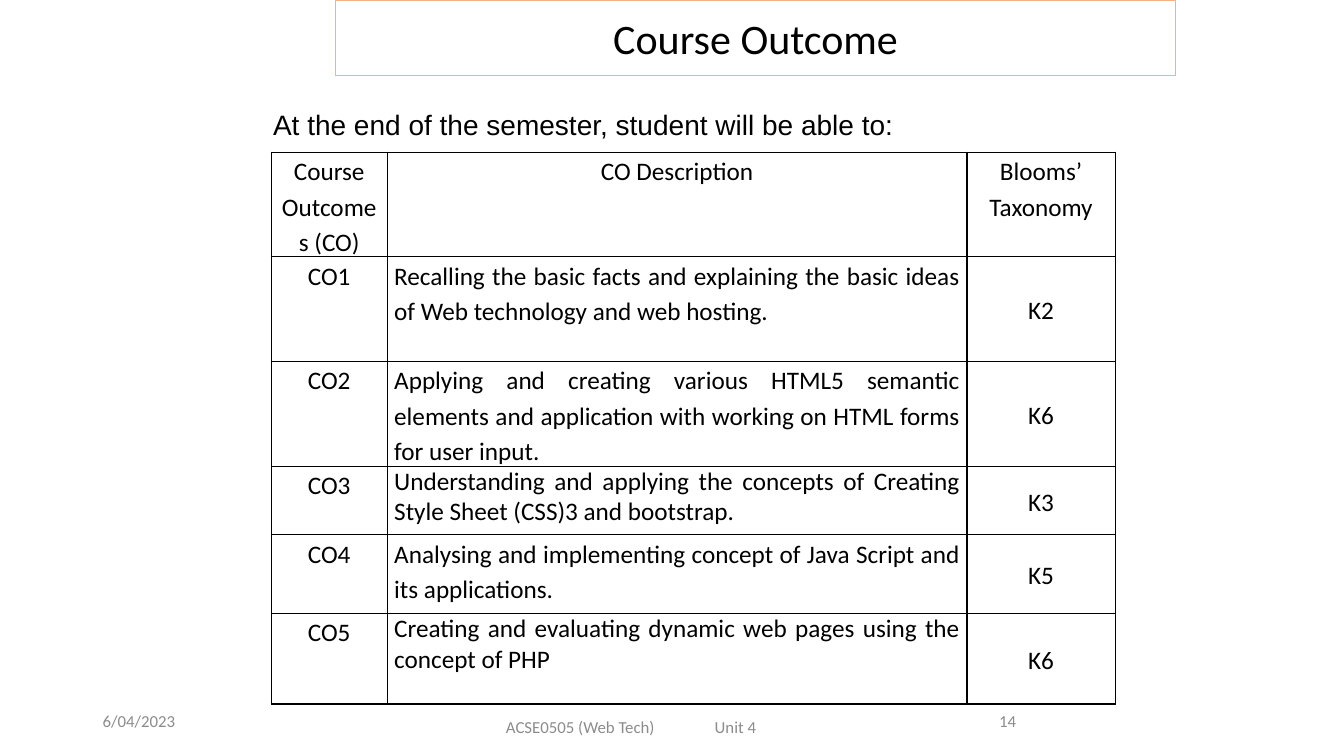
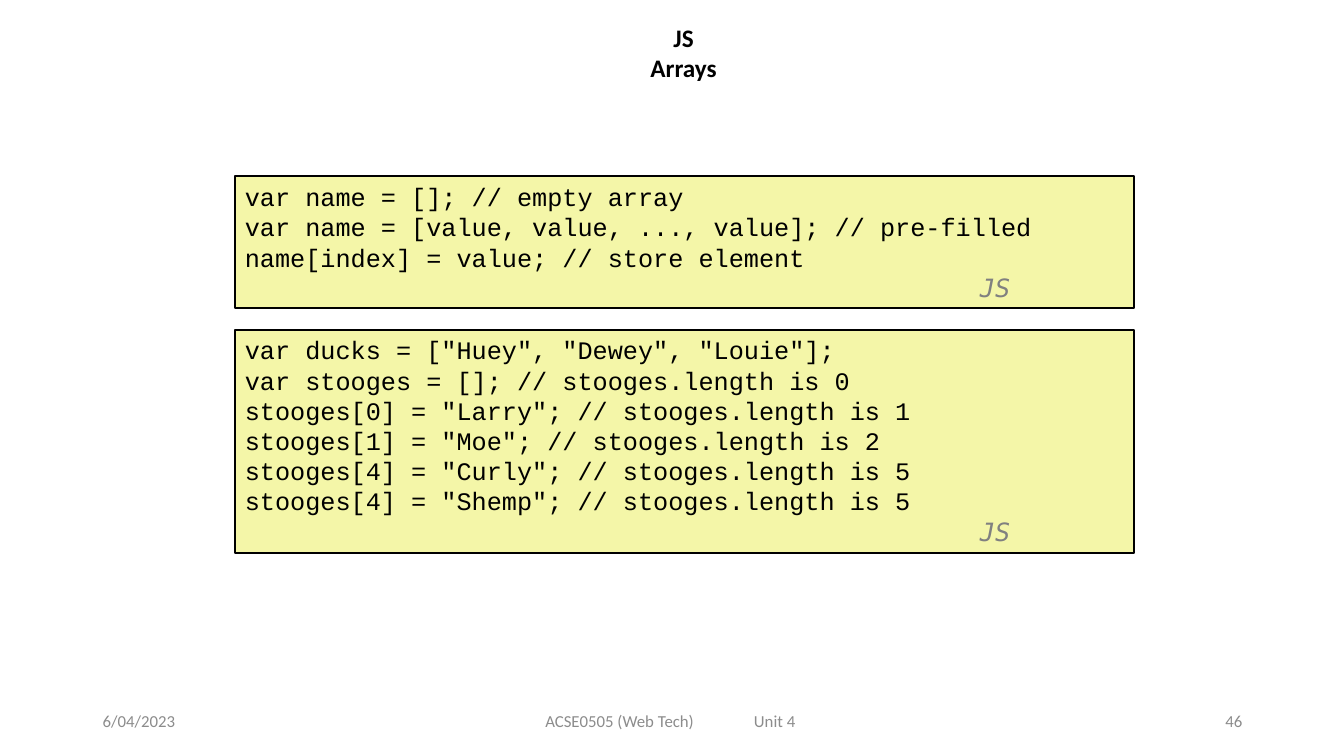
from lxml import etree
from pptx import Presentation
from pptx.dml.color import RGBColor
from pptx.enum.shapes import MSO_SHAPE
from pptx.enum.text import MSO_ANCHOR, PP_ALIGN
from pptx.oxml.ns import qn
from pptx.util import Pt

PX = 9144  # 100 px to the inch
RECT = MSO_SHAPE.RECTANGLE
TOP, MIDDLE = MSO_ANCHOR.TOP, MSO_ANCHOR.MIDDLE
LEFT, CENTER, RIGHT, JUSTIFY = PP_ALIGN.LEFT, PP_ALIGN.CENTER, PP_ALIGN.RIGHT, PP_ALIGN.JUSTIFY
BLACK, GREY, FOOTER_GREY = "000000", "808080", "8C8C8C"
TITLE_LINE, CODE_FILL = "F4B183", "F4F6A8"
BODY, CODE, TAG = "Calibri", "Courier New", "DejaVu Sans Mono"


def add_run(p, text, size, font=BODY, color=BLACK):
    r = p.add_run()
    r.text = text
    r.font.size = Pt(size)
    r.font.name = font
    r.font.color.rgb = RGBColor.from_string(color)
    return r


def add_box(s, at, lines, size, font=BODY, color=BLACK, align=LEFT, anchor=TOP,
            fill=None, line=None, weight=1):
    x, y, w, h = [v * PX for v in at]
    if line:
        sp = s.shapes.add_shape(RECT, x, y, w, h)
        sp.shadow.inherit = False
        sp.line.color.rgb = RGBColor.from_string(line)
        sp.line.width = Pt(weight)
        if fill:
            sp.fill.solid()
            sp.fill.fore_color.rgb = RGBColor.from_string(fill)
        else:
            sp.fill.background()
    else:
        sp = s.shapes.add_textbox(x, y, w, h)
    tf = sp.text_frame
    tf.word_wrap = True
    tf.vertical_anchor = anchor
    for i, text in enumerate(lines):
        p = tf.add_paragraph() if i else tf.paragraphs[0]
        p.alignment = align
        add_run(p, text, size, font, color)
    return tf


prs = Presentation()
prs.slide_width, prs.slide_height = 1333 * PX, 750 * PX
blank = prs.slide_layouts[6]

# Slides with their footers: date, course and unit, slide number
footers = [
    ((492, 701, 758, 40), "14", (883, 695, 233, 40), CENTER),
    ((531, 695, 450, 40), "46", (942, 695, 300, 40), RIGHT),
]
for course_at, number, number_at, align in footers:
    s = prs.slides.add_slide(blank)
    add_box(s, (92, 695, 300, 40), ["6/04/2023"], 12, color=FOOTER_GREY, anchor=MIDDLE)
    add_box(s, number_at, [number], 12, color=FOOTER_GREY, align=align, anchor=MIDDLE)
    tf = add_box(s, course_at, ["ACSE0505 (Web Tech)\tUnit 4"], 12,
                 color=FOOTER_GREY, anchor=MIDDLE)
    tabs = etree.SubElement(tf.paragraphs[0]._p.get_or_add_pPr(), qn("a:tabLst"))
    etree.SubElement(tabs, qn("a:tab"), pos=str(207 * PX), algn="l")
outcome_slide, arrays_slide = prs.slides

# Course outcome: title and introduction
add_box(outcome_slide, (333, 0, 833, 75), ["Course Outcome"], 30, align=CENTER,
        anchor=MIDDLE, line=TITLE_LINE, weight=0.5)
add_box(outcome_slide, (261, 102, 950, 44),
        ["At the end of the semester, student will be able to:"], 20, "Arial")

# Course outcome: table
rows = [
    ("Course Outcomes (CO)", "CO Description", "Blooms’ Taxonomy"),
    ("CO1", "Recalling the basic facts and explaining the basic ideas of Web "
     "technology and web hosting.", "K2"),
    ("CO2", "Applying and creating various HTML5 semantic elements and application "
     "with working on HTML forms for user input.", "K6"),
    ("CO3", "Understanding and applying the concepts of Creating Style Sheet (CSS)3 "
     "and bootstrap.", "K3"),
    ("CO4", "Analysing and implementing concept of Java Script and its applications.", "K5"),
    ("CO5", "Creating and evaluating dynamic web pages using the concept of PHP", "K6"),
]
col_widths = [115, 575, 147]
row_heights = [103, 104, 104, 68, 78, 90]
single_spaced = ("CO3", "CO5")

frame = outcome_slide.shapes.add_table(len(rows), len(col_widths), 269 * PX, 151 * PX,
                                       sum(col_widths) * PX, sum(row_heights) * PX)
table = frame.table
table.first_row = table.horz_banding = False
for column, width in zip(table.columns, col_widths):
    column.width = width * PX
for i, (row, height) in enumerate(zip(rows, row_heights)):
    table.rows[i].height = height * PX
    for j, text in enumerate(row):
        cell = table.cell(i, j)
        cell.margin_left = cell.margin_right = 7 * PX
        cell.margin_top = cell.margin_bottom = 0
        cell.vertical_anchor = MIDDLE if i and j == 2 else TOP
        tcPr = cell._tc.get_or_add_tcPr()
        for side in ("lnL", "lnR", "lnT", "lnB"):
            ln = etree.SubElement(tcPr, qn("a:" + side), w=str(Pt(1)))
            solid = etree.SubElement(ln, qn("a:solidFill"))
            etree.SubElement(solid, qn("a:srgbClr"), val=BLACK)
        cell.fill.background()
        p = cell.text_frame.paragraphs[0]
        p.alignment = JUSTIFY if i and j == 1 else CENTER
        p.line_spacing = 1.0 if j == 1 and row[0] in single_spaced else 1.15
        add_run(p, text, 18)

# JS arrays: title
tf = add_box(arrays_slide, (633, 17, 90, 71), ["JS Arrays"], 18, align=CENTER)
tf.paragraphs[0].runs[0].font.bold = True

# JS arrays: code boxes, each with a language tag on its last line
code_boxes = [
    (175, 131, [
        "var name = []; // empty array",
        "var name = [value, value, ..., value]; // pre-filled",
        "name[index] = value; // store element",
    ]),
    (327, 222, [
        'var ducks = ["Huey", "Dewey", "Louie"];',
        "var stooges = []; // stooges.length is 0",
        'stooges[0] = "Larry"; // stooges.length is 1',
        'stooges[1] = "Moe"; // stooges.length is 2',
        'stooges[4] = "Curly"; // stooges.length is 5',
        'stooges[4] = "Shemp"; // stooges.length is 5',
    ]),
]
for top, height, lines in code_boxes:
    tf = add_box(arrays_slide, (233, top, 892, height), lines, 18, CODE,
                 fill=CODE_FILL, line=BLACK, weight=1.5)
    p = tf.add_paragraph()
    p.alignment = LEFT
    p._p.get_or_add_pPr().set("marL", str(729 * PX))
    add_run(p, "JS", 18, TAG, GREY).font.italic = True

prs.save("out.pptx")
